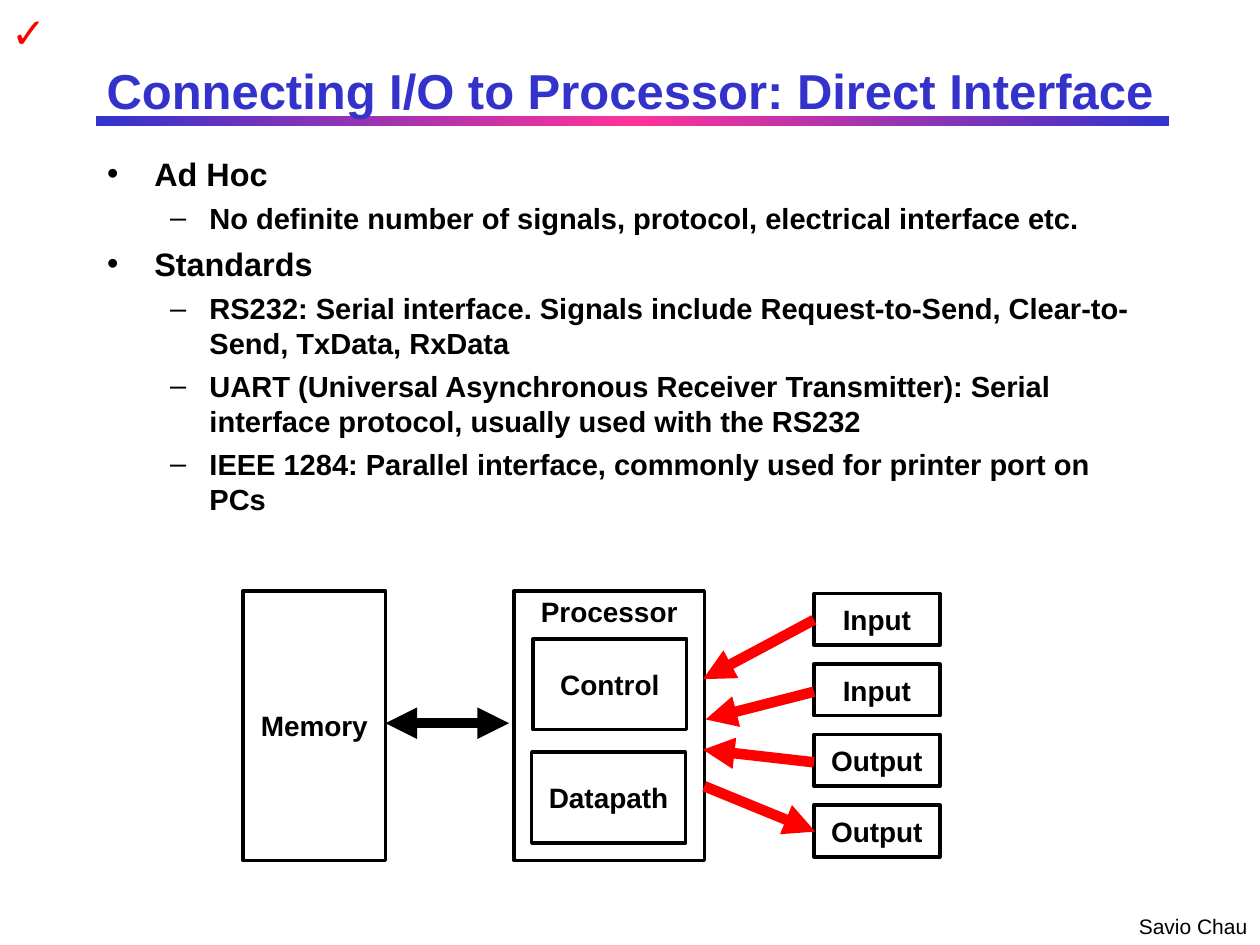
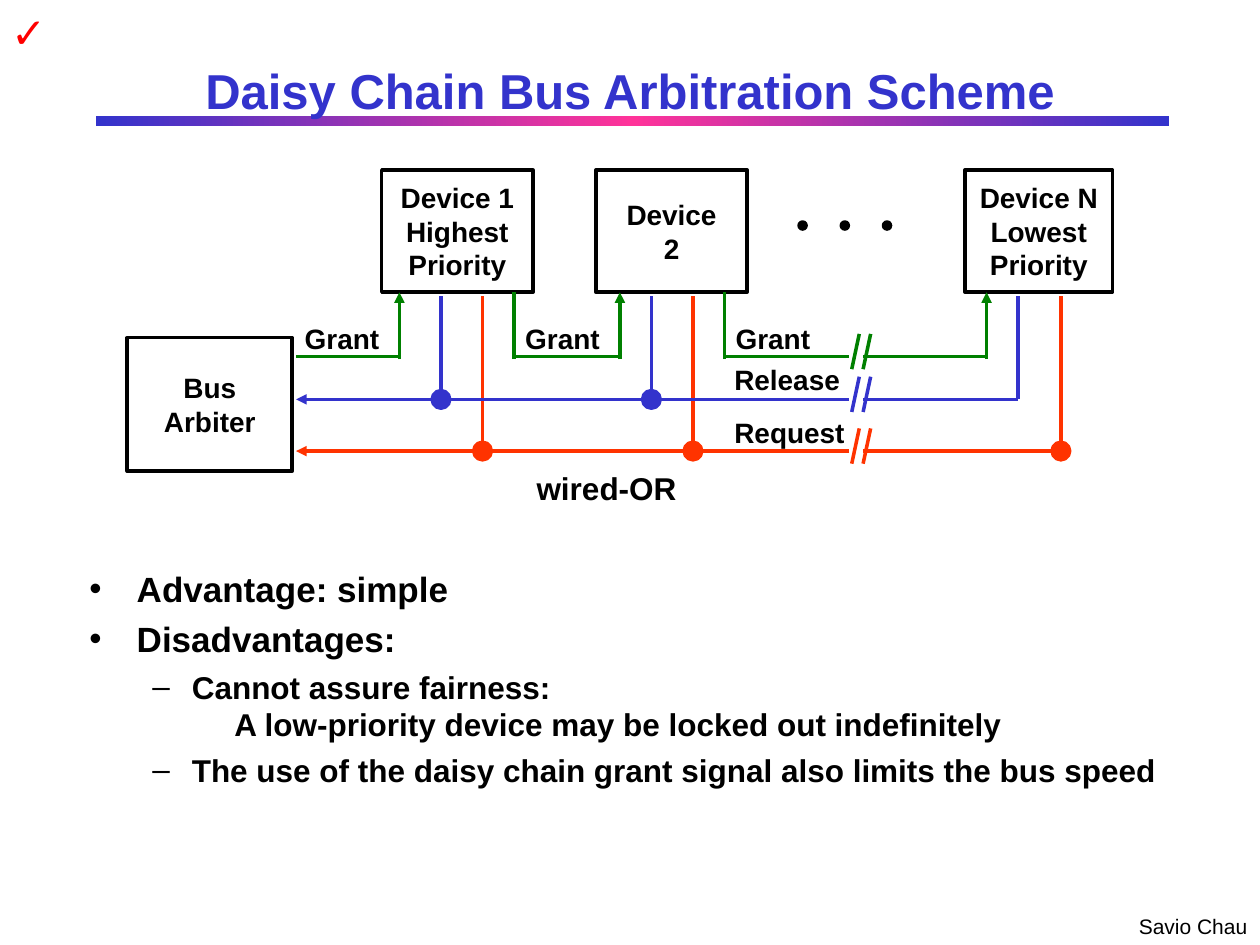
"""Build two slides on processor I/O: direct interfaces and daisy chain bus arbitration."""
from copy import deepcopy
from dataclasses import dataclass

from pptx import Presentation
from pptx.dml.color import RGBColor
from pptx.enum.shapes import MSO_CONNECTOR, MSO_SHAPE
from pptx.enum.text import MSO_ANCHOR, MSO_AUTO_SIZE, PP_ALIGN
from pptx.oxml.ns import qn
from pptx.util import Inches, Pt
from lxml.etree import SubElement


@dataclass(frozen=True)
class Theme:
    font: str = "Arial"
    black: str = "000000"
    blue: str = "3333CC"
    pink: str = "FF3399"
    red: str = "FF0000"
    orange: str = "FF3300"
    green: str = "008000"
    title: float = 28
    tick: float = 24
    caption: float = 18
    label: float = 16
    footer: float = 12
    rule: float = 2
    arrow: float = 6


T = Theme()


def write(tf, rows, color=T.black, bold=True, align=PP_ALIGN.LEFT):
    """Fill a text frame with one paragraph per (text, size) row."""
    for i, (text, size) in enumerate(rows):
        p = tf.add_paragraph() if i else tf.paragraphs[0]
        p.alignment = align
        r = p.add_run()
        r.text = text
        r.font.name, r.font.size, r.font.bold = T.font, Pt(size), bold
        r.font.color.rgb = RGBColor.from_string(color)
    return tf.paragraphs


def line(s, start, end, color, width=T.rule, ends=()):
    """Draw a straight line with triangles at the named ends."""
    c = s.shapes.add_connector(MSO_CONNECTOR.STRAIGHT, *map(Inches, start + end))
    c.line.color.rgb = RGBColor.from_string(color)
    c.line.width = Pt(width)
    spPr = c.element.spPr
    for name in ends:
        SubElement(spPr.find(qn("a:ln")), qn(f"a:{name}End"), type="triangle")
    SubElement(spPr, qn("a:effectLst"))


prs = Presentation()
prs.slide_width, prs.slide_height = Inches(10), Inches(7.5)

interface = dict(
    title="Connecting I/O to Processor: Direct Interface",
    title_at=(0.37, 0.42, 9.26, 0.58),
    body_at=(0.75, 1.17, 8.5, 3.27),
    sizes=(18.5, 16.6, 16.6),
    body=[
        (0, "Ad Hoc"),
        (1, "No definite number of signals, protocol, electrical interface etc."),
        (0, "Standards"),
        (1, "RS232: Serial interface. Signals include Request-to-Send, Clear-to-Send, TxData, RxData"),
        (1, "UART (Universal Asynchronous Receiver Transmitter): Serial interface protocol, "
            "usually used with the RS232"),
        (1, "IEEE 1284: Parallel interface, commonly used for printer port on PCs"),
    ],
    boxes=[
        (["Memory"], (1.93, 4.69, 1.13, 2.14), 0.03),
        (["Processor"], (4.08, 4.69, 1.51, 2.14), 0.03),
        (["Control"], (4.23, 5.07, 1.22, 0.72), 0.03),
        (["Datapath"], (4.22, 5.97, 1.22, 0.72), 0.03),
    ] + [([name], (6.46, 4.71 + 0.56 * i, 1, 0.41), 0.03)
         for i, name in enumerate(["Input", "Input", "Output", "Output"])],
    labels=[],
)
arbitration = dict(
    title="Daisy Chain Bus Arbitration Scheme",
    title_at=(0.75, 0.42, 8.5, 0.58),
    body_at=(0.61, 4.45, 8.79, 2.14),
    sizes=(20, 18, 18),
    body=[
        (0, "Advantage: simple"),
        (0, "Disadvantages:"),
        (1, "Cannot assure fairness:"),
        (2, "A low-priority device may be locked out indefinitely"),
        (1, "The use of the daisy chain grant signal also limits the bus speed"),
    ],
    boxes=[
        (["Bus", "Arbiter"], (1.01, 2.68, 1.31, 1.06), 0.05),
        (["Device 1", "Highest", "Priority"], (3.03, 1.35, 1.2, 0.97), 0.05),
        (["Device 2"], (4.73, 1.35, 1.2, 0.97), 0.2),
        (["Device N", "Lowest", "Priority"], (7.66, 1.35, 1.17, 0.97), 0.05),
    ],
    labels=[
        ("Grant", (2.32, 2.5, 0.79, 0.36), T.label),
        ("Grant", (4.07, 2.5, 0.79, 0.36), T.label),
        ("Grant", (5.74, 2.5, 0.79, 0.36), T.label),
        ("Release", (5.73, 2.83, 1.06, 0.36), T.label),
        ("Request", (5.73, 3.25, 1.12, 0.36), T.label),
        ("wired-OR", (4.16, 3.67, 1.31, 0.4), T.caption),
    ],
)

for page in (interface, arbitration):
    s = prs.slides.add_slide(prs.slide_layouts[1])
    title, body = s.placeholders
    for sp, at in ((title, page["title_at"]), (body, page["body_at"])):
        sp.left, sp.top, sp.width, sp.height = map(Inches, at)
        sp.text_frame.auto_size = MSO_AUTO_SIZE.NONE
    title.text_frame.vertical_anchor = MSO_ANCHOR.MIDDLE
    write(title.text_frame, [(page["title"], T.title)], T.blue, align=PP_ALIGN.CENTER)

    rows = [(text, page["sizes"][level]) for level, text in page["body"]]
    for p, (level, _) in zip(write(body.text_frame, rows), page["body"]):
        p.level = min(level, 1)
        p.space_before = Pt((5, 4.5, 0)[level])
        if level == 2:
            pPr = p._p.get_or_add_pPr()
            pPr.set("marL", str(Inches(1.15)))
            pPr.set("indent", "0")
            SubElement(pPr, qn("a:buNone"))

    band = s.shapes.add_shape(MSO_SHAPE.RECTANGLE, *map(Inches, (0.76, 0.92, 8.52, 0.08)))
    band.shadow.inherit = False
    band.line.fill.background()
    band.fill.gradient()
    band.fill.gradient_angle = 0
    stops = band.element.spPr.find(".//" + qn("a:gsLst"))
    stops.append(deepcopy(stops[0]))
    for stop, pos, color in zip(band.fill.gradient_stops, (0, 0.5, 1), (T.blue, T.pink, T.blue)):
        stop.position = pos
        stop.color.rgb = RGBColor.from_string(color)
    title.element.addprevious(band.element)

    for lines, at, margin in page["boxes"]:
        sp = s.shapes.add_shape(MSO_SHAPE.RECTANGLE, *map(Inches, at))
        sp.shadow.inherit = False
        sp.fill.background()
        sp.line.color.rgb = RGBColor.from_string(T.black)
        sp.line.width = Pt(T.rule)
        tf = sp.text_frame
        tf.word_wrap = True
        tf.margin_left = tf.margin_right = Inches(margin)
        tf.margin_top = tf.margin_bottom = Inches(0.03)
        tf.vertical_anchor = MSO_ANCHOR.TOP if lines == ["Processor"] else MSO_ANCHOR.MIDDLE
        write(tf, [(text, T.label) for text in lines], align=PP_ALIGN.CENTER)

    labels = [(*label, T.black, True) for label in page["labels"]]
    labels += [
        ("✓", (-0.01, 0, 0.47, 0.5), T.tick, T.red, True),
        ("Savio Chau", (8.94, 7.2, 1.06, 0.3), T.footer, T.black, False),
    ]
    for text, at, size, color, bold in labels:
        tf = s.shapes.add_textbox(*map(Inches, at)).text_frame
        tf.word_wrap = False
        tf.auto_size = MSO_AUTO_SIZE.SHAPE_TO_FIT_TEXT
        write(tf, [(text, size)], color, bold)

s, chain = prs.slides
line(s, (3.06, 5.74), (4.04, 5.74), T.black, T.arrow, ("head", "tail"))
for start, end in [
    ((6.46, 4.92), (5.58, 5.39)),
    ((6.46, 5.49), (5.6, 5.71)),
    ((6.46, 6.05), (5.58, 5.95)),
    ((5.59, 6.24), (6.47, 6.6)),
]:
    line(s, start, end, T.red, T.arrow, ("tail",))

GRANT_Y, RELEASE_Y, REQUEST_Y = 2.83, 3.17, 3.58
DEVICE_BOTTOM, DROP_TOP = 2.32, 2.35
BREAK_LEFT, BREAK_RIGHT = 6.74, 6.85
release_x = (3.5, 5.17, 8.08)
request_x = (3.83, 5.5, 8.42)

for left, right in ((2.35, 3.17), (4.08, 4.92), (5.75, BREAK_LEFT), (BREAK_RIGHT, 7.83)):
    line(chain, (left, GRANT_Y), (right, GRANT_Y), T.green)
for x in (3.17, 4.92, 7.83):
    line(chain, (x, GRANT_Y + 0.02), (x, DEVICE_BOTTOM), T.green, ends=("tail",))
for x in (4.08, 5.75):
    line(chain, (x, GRANT_Y + 0.02), (x, DEVICE_BOTTOM), T.green)

for y, drops, color in ((REQUEST_Y, request_x, T.orange), (RELEASE_Y, release_x, T.blue)):
    line(chain, (BREAK_LEFT, y), (2.35, y), color, ends=("tail",))
    line(chain, (BREAK_RIGHT, y), (drops[-1], y), color)
    for x in drops:
        line(chain, (x, DROP_TOP), (x, y), color)

for y, color in ((GRANT_Y, T.green), (RELEASE_Y, T.blue), (REQUEST_Y, T.orange)):
    for x in (6.76, 6.85):
        line(chain, (x, y + 0.1), (x + 0.06, y - 0.18), color)

dots = [(x, RELEASE_Y, 0.14, T.blue) for x in release_x[:2]]
dots += [(x, REQUEST_Y, 0.14, T.orange) for x in request_x]
dots += [(6.37 + 0.335 * i, 1.79, 0.07, T.black) for i in range(3)]
for x, y, size, color in dots:
    sp = chain.shapes.add_shape(
        MSO_SHAPE.OVAL, *map(Inches, (x - size / 2, y - size / 2, size, size)))
    sp.shadow.inherit = False
    sp.fill.solid()
    sp.fill.fore_color.rgb = sp.line.color.rgb = RGBColor.from_string(color)
    sp.line.width = Pt(1 if color == T.black else T.rule)

prs.save("out.pptx")
